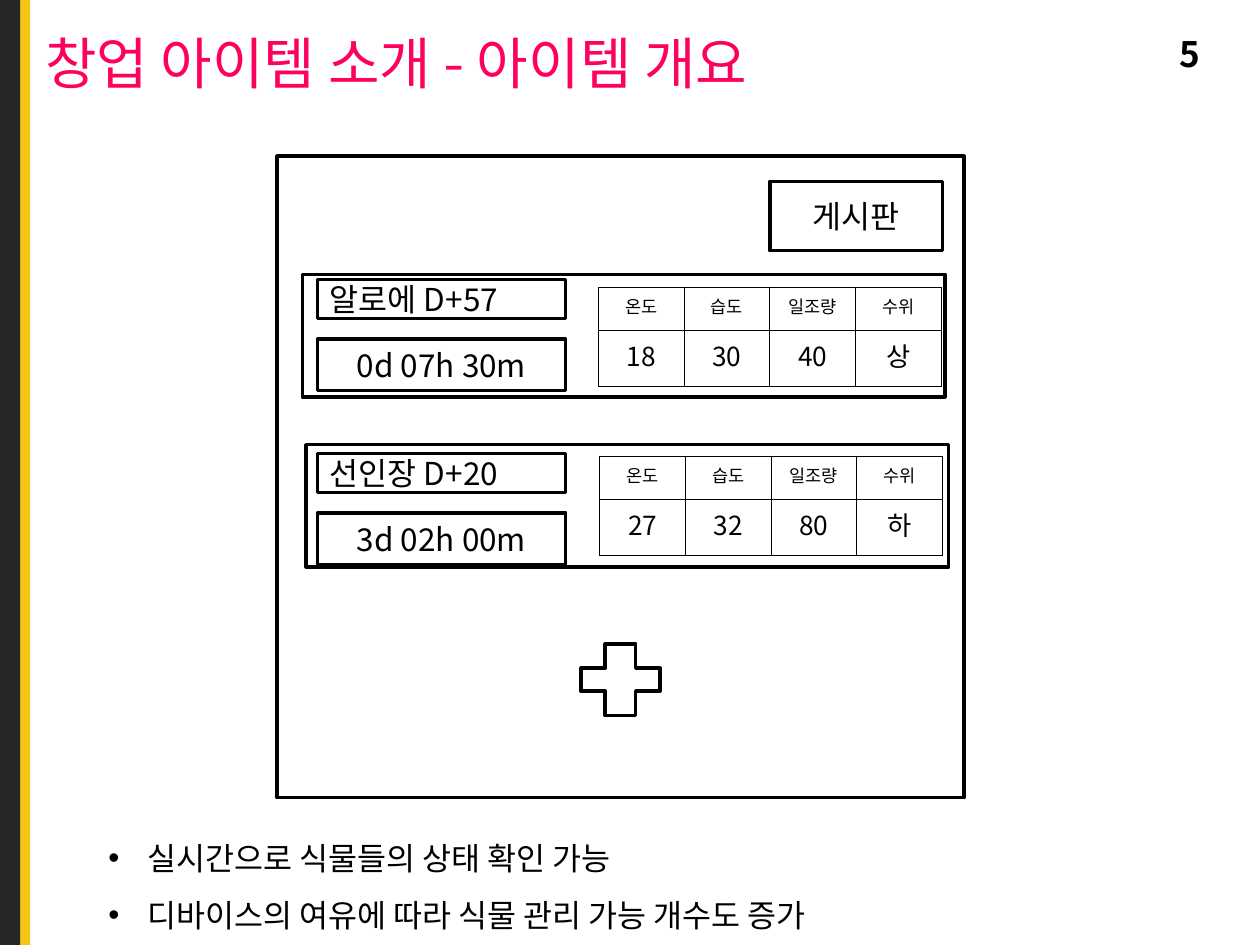
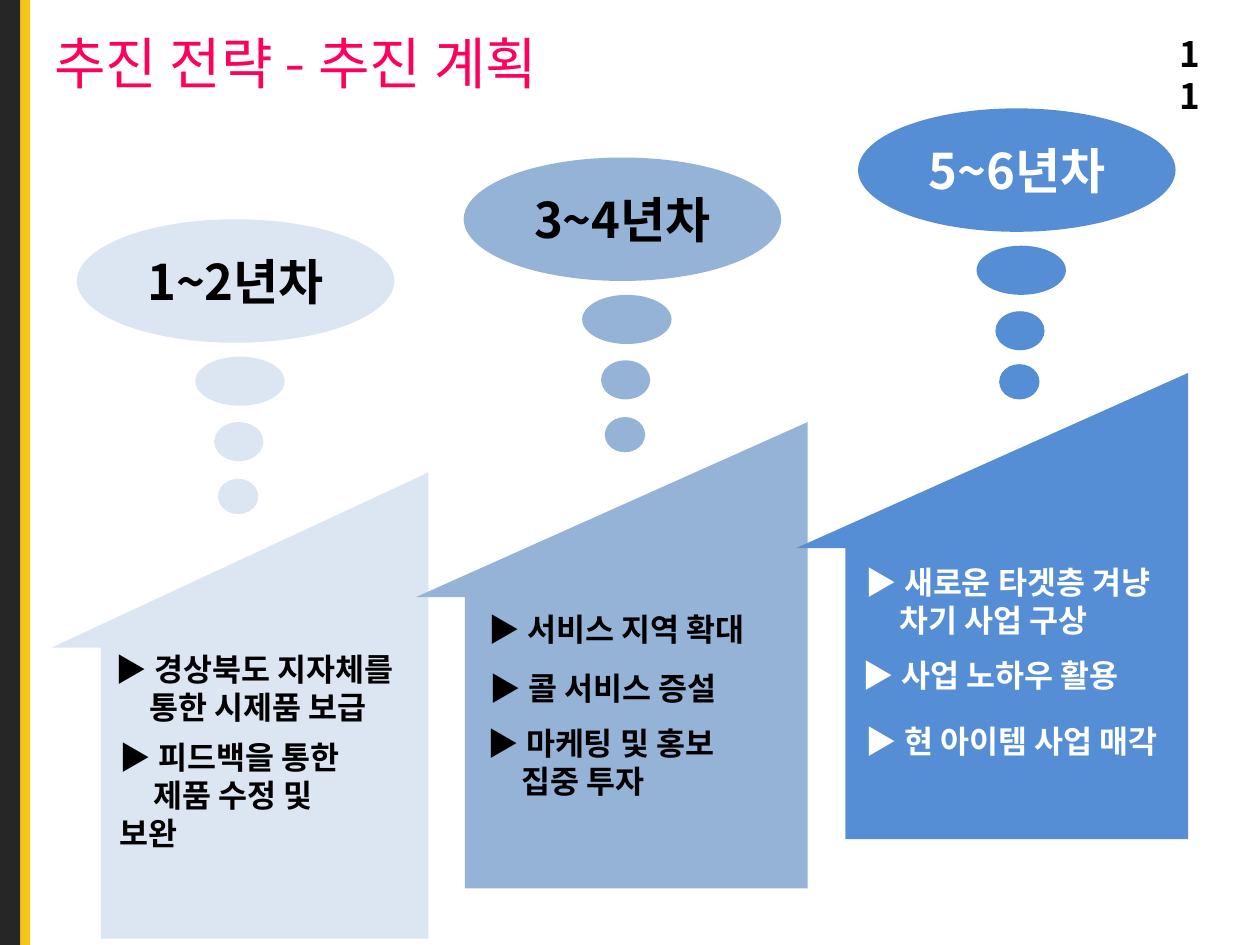
from dataclasses import dataclass

from lxml import etree
from pptx import Presentation
from pptx.dml.color import RGBColor
from pptx.enum.shapes import MSO_SHAPE
from pptx.enum.text import MSO_ANCHOR, MSO_AUTO_SIZE, PP_ALIGN
from pptx.oxml.ns import qn
from pptx.util import Inches, Pt

BLACK = RGBColor(0x00, 0x00, 0x00)
WHITE = RGBColor(0xFF, 0xFF, 0xFF)
PINK = RGBColor(0xFE, 0x00, 0x5E)
YELLOW = RGBColor(0xF4, 0xC4, 0x18)
CHARCOAL = RGBColor(0x26, 0x26, 0x26)
PALE_BLUE = RGBColor(0xDC, 0xE6, 0xF2)
MID_BLUE = RGBColor(0x95, 0xB3, 0xD7)
DEEP_BLUE = RGBColor(0x55, 0x8E, 0xD5)
TITLE_FONT = "Karla"
FONT = "Noto Sans CJK KR"
TITLE_AND_CONTENT, TITLE_ONLY = 1, 5

SENSORS = ["온도", "습도", "일조량", "수위"]
FEATURES = ["실시간으로 식물들의 상태 확인 가능",
            "디바이스의 여유에 따라 식물 관리 가능 개수도 증가"]
CONTINUATION_INDENT = 0.27


@dataclass
class PlantCard:
    left: float
    top: float
    label_top: float
    table_left: float
    table_top: float
    label: str
    clock: str
    readings: list[str]


@dataclass
class Goal:
    left: float
    top: float
    lines: list[str]
    width: float = 2.6


@dataclass
class Stage:
    period: str
    fill: RGBColor
    ink: RGBColor
    tip: float
    right: float
    top: float
    bubble_left: float
    bubble_top: float
    last_dot: float
    goals: list[Goal]


CARDS = [
    PlantCard(2.4, 2.18, 2.22, 4.75, 2.28, "알로에 D+57", "0d 07h 30m",
              ["18", "30", "40", "상"]),
    PlantCard(2.43, 3.53, 3.6, 4.76, 3.62, "선인장 D+20", "3d 02h 00m",
              ["27", "32", "80", "하"]),
]

STAGES = [
    Stage("1~2년차", PALE_BLUE, BLACK, 0.41, 3.4, 3.75, 0.61, 1.74, 2.06, [
        Goal(0.82, 5.11, ["▶ 경상북도 지자체를", "통한 시제품 보급"]),
        Goal(0.85, 5.81, ["▶ 피드백을 통한", "제품 수정 및 보완"], 2.2),
    ]),
    Stage("3~4년차", MID_BLUE, BLACK, 3.3, 6.41, 3.35, 3.68, 1.25, 2.06, [
        Goal(3.78, 4.79, ["▶ 서비스 지역 확대"]),
        Goal(3.79, 5.26, ["▶ 콜 서비스 증설"]),
        Goal(3.77, 5.7, ["▶ 마케팅 및 홍보", "집중 투자"]),
    ]),
    Stage("5~6년차", DEEP_BLUE, WHITE, 6.32, 9.43, 2.96, 6.81, 0.86, 2.03, [
        Goal(6.77, 4.42, ["▶ 새로운 타겟층 겨냥", "차기 사업 구상"]),
        Goal(6.75, 5.16, ["▶ 사업 노하우 활용"]),
        Goal(6.77, 5.68, ["▶ 현 아이템 사업 매각"]),
    ]),
]


def box(left: float, top: float, width: float, height: float) -> list[int]:
    return [Inches(v) for v in (left, top, width, height)]


def place(sp, left: float, top: float, width: float, height: float) -> None:
    sp.left, sp.top, sp.width, sp.height = box(left, top, width, height)


def add_run(p, text: str, size: float, color: RGBColor = BLACK,
            bold: bool = False, font: str = FONT) -> None:
    r = p.add_run()
    r.text = text
    r.font.size = Pt(size)
    r.font.bold = bold
    r.font.name = font
    r.font.color.rgb = color
    ea = etree.SubElement(r.font._element, qn("a:ea"))
    ea.set("typeface", FONT)


def paint(sp, fill: RGBColor, outlined: bool = False) -> None:
    sp.shadow.inherit = False
    sp.fill.solid()
    sp.fill.fore_color.rgb = fill
    if outlined:
        sp.line.color.rgb = BLACK
        sp.line.width = Pt(2)
    else:
        sp.line.fill.background()


def add_outlined(s, left: float, top: float, width: float, height: float,
                 text: str = "", align=PP_ALIGN.CENTER, kind=MSO_SHAPE.RECTANGLE):
    sp = s.shapes.add_shape(kind, *box(left, top, width, height))
    paint(sp, WHITE, outlined=True)
    if text:
        p = sp.text_frame.paragraphs[0]
        p.alignment = align
        add_run(p, text, 18)
    return sp


def add_text(s, left: float, top: float, width: float, height: float,
             lines: list[str], size: float, color: RGBColor = BLACK) -> None:
    """Bold text whose lines after the first are indented."""
    tf = s.shapes.add_textbox(*box(left, top, width, height)).text_frame
    tf.word_wrap = True
    for i, line in enumerate(lines):
        p = tf.add_paragraph() if i else tf.paragraphs[0]
        if i:
            p._p.get_or_add_pPr().set("indent", str(Inches(CONTINUATION_INDENT)))
        add_run(p, line, size, color, bold=True)


def start_slide(prs, layout: int, title: str, title_left: float, number: str):
    s = prs.slides.add_slide(prs.slide_layouts[layout])
    for width, color in ((0.24, YELLOW), (0.16, CHARCOAL)):
        band = s.shapes.add_shape(MSO_SHAPE.RECTANGLE, *box(0, 0, width, 7.5))
        paint(band, color)
    place(s.shapes.title, title_left, 0.17, 9, 0.64)
    tf = s.shapes.title.text_frame
    tf.auto_size = MSO_AUTO_SIZE.NONE
    tf.vertical_anchor = MSO_ANCHOR.MIDDLE
    p = tf.paragraphs[0]
    p.alignment = PP_ALIGN.LEFT
    add_run(p, title, 32, PINK, font=TITLE_FONT)
    add_text(s, 9.26, 0.21, 0.36 if len(number) == 1 else 0.52, 0.44, [number], 20)
    return s


def add_features(s) -> None:
    body = s.placeholders[1]
    place(body, 0.76, 6.46, 6, 1.04)
    tf = body.text_frame
    tf.auto_size = MSO_AUTO_SIZE.NONE
    for i, line in enumerate(FEATURES):
        p = tf.add_paragraph() if i else tf.paragraphs[0]
        p.line_spacing = 1.5
        p.space_before = Pt(0)
        pPr = p._p.get_or_add_pPr()
        pPr.set("marL", str(Inches(0.31)))
        pPr.set("indent", str(Inches(-0.31)))
        etree.SubElement(pPr, qn("a:buFont")).set("typeface", "Arial")
        etree.SubElement(pPr, qn("a:buChar")).set("char", "•")
        add_run(p, line, 18)


def set_borders(cell) -> None:
    tcPr = cell._tc.get_or_add_tcPr()
    for i, side in enumerate(("a:lnL", "a:lnR", "a:lnT", "a:lnB")):
        ln = etree.Element(qn(side), w=str(Pt(0.45)))
        fill = etree.SubElement(ln, qn("a:solidFill"))
        etree.SubElement(fill, qn("a:srgbClr")).set("val", str(BLACK))
        tcPr.insert(i, ln)


def add_readings(s, card: PlantCard) -> None:
    rows = [(SENSORS, 0.34, 10), (card.readings, 0.45, 15)]
    frame = s.shapes.add_table(len(rows), len(SENSORS),
                               *box(card.table_left, card.table_top, 2.72, 0.79))
    table = frame.table
    table.first_row = table.horz_banding = False
    for i, (values, height, size) in enumerate(rows):
        table.rows[i].height = Inches(height)
        for j, value in enumerate(values):
            cell = table.cell(i, j)
            cell.fill.solid()
            cell.fill.fore_color.rgb = WHITE
            set_borders(cell)
            p = cell.text_frame.paragraphs[0]
            p.alignment = PP_ALIGN.CENTER
            add_run(p, value, size)


def add_card(s, card: PlantCard) -> None:
    add_outlined(s, card.left, card.top, 5.1, 0.97)
    add_outlined(s, 2.52, card.label_top, 1.97, 0.31, card.label, PP_ALIGN.LEFT)
    add_outlined(s, 2.52, card.label_top + 0.47, 1.97, 0.41, card.clock)
    add_readings(s, card)


def add_block(s, stage: Stage) -> None:
    """Body of a stage, with a sloping roof that juts out to the left."""
    wall, eave, bottom = stage.tip + 0.39, stage.top + 1.39, stage.top + 3.7
    outline = [(stage.right, bottom), (wall, bottom), (wall, eave), (stage.tip, eave)]
    builder = s.shapes.build_freeform(Inches(stage.right), Inches(stage.top))
    builder.add_line_segments([(Inches(x), Inches(y)) for x, y in outline])
    paint(builder.convert_to_shape(), stage.fill)


def add_bubbles(s, stage: Stage) -> None:
    ovals = [(0, 0, 2.52, 0.98), (0.94, 1.09, 0.71, 0.39),
             (1.09, 1.61, 0.39, 0.31), (1.12, stage.last_dot, 0.32, 0.28)]
    for i, (dx, dy, width, height) in enumerate(ovals):
        sp = s.shapes.add_shape(MSO_SHAPE.OVAL, *box(
            stage.bubble_left + dx, stage.bubble_top + dy, width, height))
        paint(sp, stage.fill)
        if i == 0:
            p = sp.text_frame.paragraphs[0]
            p.alignment = PP_ALIGN.CENTER
            add_run(p, stage.period, 28, stage.ink, bold=True)


def build_item_slide(prs) -> None:
    s = start_slide(prs, TITLE_AND_CONTENT, "창업 아이템 소개 - 아이템 개요", 0.26, "5")
    add_features(s)
    add_outlined(s, 2.2, 1.24, 5.45, 5.09)
    add_outlined(s, 6.11, 1.44, 1.37, 0.55, "게시판")
    for card in CARDS:
        add_card(s, card)
    plus = add_outlined(s, 4.61, 5.11, 0.63, 0.57, kind=MSO_SHAPE.CROSS)
    plus.adjustments[0] = 0.34


def build_plan_slide(prs) -> None:
    s = start_slide(prs, TITLE_ONLY, "추진 전략 - 추진 계획", 0.33, "11")
    for stage in STAGES:
        add_block(s, stage)
        add_bubbles(s, stage)
    for stage in STAGES:
        for goal in stage.goals:
            height = 0.1 + 0.3 * len(goal.lines)
            add_text(s, goal.left, goal.top, goal.width, height,
                     goal.lines, 18, stage.ink)


def main() -> None:
    prs = Presentation()
    prs.slide_width, prs.slide_height = Inches(10), Inches(7.5)
    build_item_slide(prs)
    build_plan_slide(prs)
    prs.save("out.pptx")


if __name__ == "__main__":
    main()
